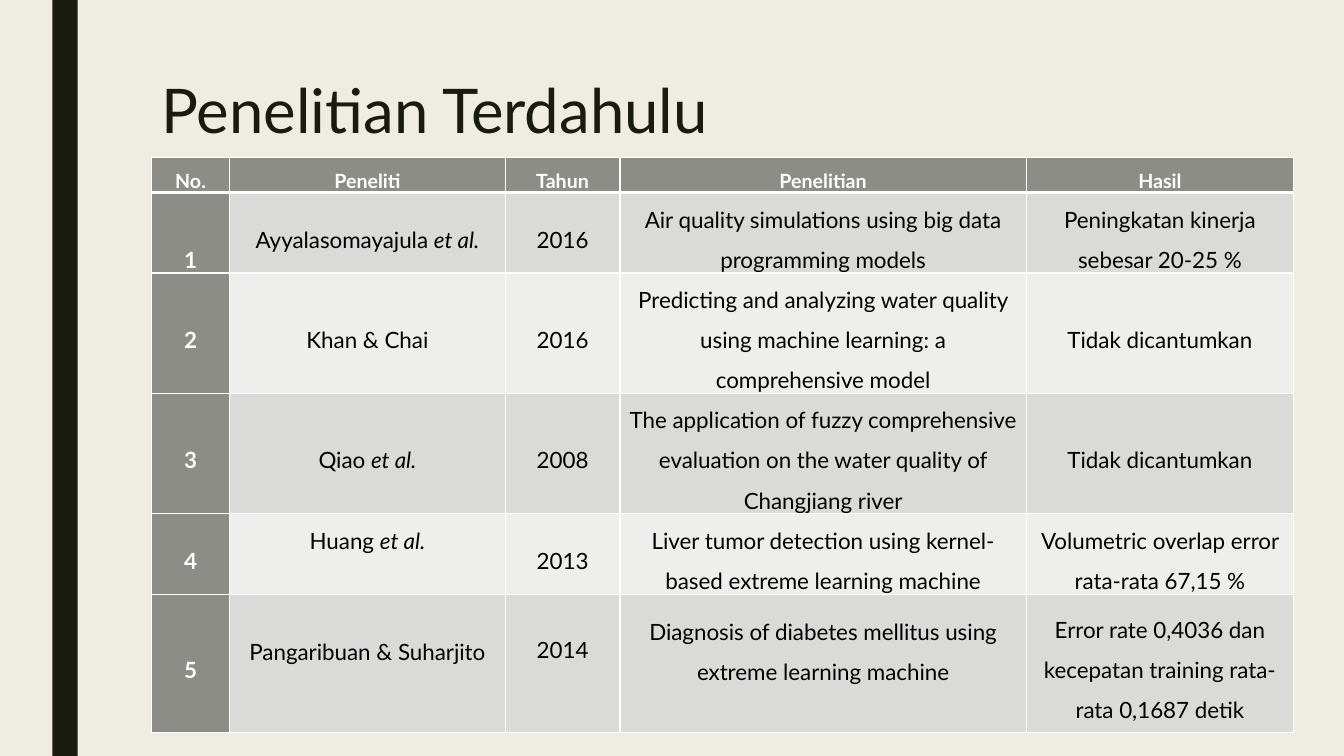
import pptx
import pptx.util
import pptx.dml.color
import pptx.enum.shapes
import pptx.enum.text
import pptx.oxml
import pptx.oxml.ns

Inches = pptx.util.Inches
Pt = pptx.util.Pt
ANCHOR = pptx.enum.text.MSO_ANCHOR
ALIGN = pptx.enum.text.PP_ALIGN

COLORS = {
    "background": "EFEDE3", "dark": "191B0E", "heading": "8C8D86",
    "odd": "DADBD9", "even": "EEEEED", "white": "FFFFFF", "black": "000000",
}
FONT = "Lato"
COLUMN_WIDTHS = [0.78, 2.73, 1.14, 4.03, 2.65]
ROW_HEIGHTS = [0.27, 0.66, 1.02, 1.02, 0.67, 1.37]
HEADINGS = ["No.", "Peneliti", "Tahun", "Penelitian", "Hasil"]
STUDIES = [
    ["1", "Ayyalasomayajula *et al.*", "2016",
     "Air quality simulations using big data programming models",
     "Peningkatan kinerja sebesar 20-25 %"],
    ["2", "Khan & Chai", "2016",
     "Predicting and analyzing water quality using machine learning: a comprehensive model",
     "Tidak dicantumkan"],
    ["3", "Qiao *et al.*", "2008",
     "The application of fuzzy comprehensive evaluation on the water quality of Changjiang river",
     "Tidak dicantumkan"],
    ["4", "Huang *et al.*", "2013",
     "Liver tumor detection using kernel-based extreme learning machine",
     "Volumetric overlap error rata-rata 67,15 %"],
    ["5", "Pangaribuan & Suharjito", "2014",
     "Diagnosis of diabetes mellitus using extreme learning machine",
     "Error rate 0,4036 dan kecepatan training rata-rata 0,1687 detik"],
]
TOP_MARGINS = {(1, 0): 0.4}
BOTTOM_MARGINS = {(4, 1): 0.4, (5, 1): 0.36, (5, 2): 0.4, (5, 3): 0.36}


def rgb(name):
    """Return the named colour."""
    return pptx.dml.color.RGBColor.from_string(COLORS[name])


def write(frame, text, size, color, bold=False, align=ALIGN.LEFT, spacing=1.0):
    """Write one paragraph, with parts between asterisks in italics."""
    paragraph = frame.paragraphs[0]
    paragraph.alignment = align
    paragraph.line_spacing = spacing
    for index, part in enumerate(text.split("*")):
        if part:
            run = paragraph.add_run()
            run.text = part
            run.font.name = FONT
            run.font.size = Pt(size)
            run.font.bold = bold
            run.font.italic = index % 2 == 1
            run.font.color.rgb = rgb(color)


def border(cell, **widths):
    """Draw white cell borders with the widths given in points."""
    properties = cell._tc.get_or_add_tcPr()
    for index, side in enumerate("LRTB"):
        line = pptx.oxml.parse_xml(
            f'<a:ln{side} {pptx.oxml.ns.nsdecls("a")} w="{Pt(widths.get(side, 1))}">'
            f'<a:solidFill><a:srgbClr val="{COLORS["white"]}"/></a:solidFill></a:ln{side}>')
        properties.insert(index, line)


def add_side_bar(slide, left, top, width, height):
    """Add the dark bar at the left edge."""
    bar = slide.shapes.add_shape(
        pptx.enum.shapes.MSO_SHAPE.RECTANGLE,
        Inches(left), Inches(top), Inches(width), Inches(height))
    bar.shadow.inherit = False
    bar.fill.solid()
    bar.fill.fore_color.rgb = rgb("dark")
    bar.line.fill.background()


def place_title(slide, text, left, top, width, height):
    """Move and fill the title placeholder."""
    title = slide.shapes.title
    title.left, title.top = Inches(left), Inches(top)
    title.width, title.height = Inches(width), Inches(height)
    title.text_frame.word_wrap = True
    title.text_frame.vertical_anchor = ANCHOR.TOP
    write(title.text_frame, text, 44, "dark", spacing=0.89)


def fill_cell(cell, text, row, column):
    """Format one cell by its row and column."""
    header = row == 0
    heading = header or column == 0
    cell.fill.solid()
    cell.fill.fore_color.rgb = rgb("heading" if heading else "odd" if row % 2 else "even")
    border(cell, T=3 if row == 1 else 1, B=3 if header else 1)
    cell.margin_left = cell.margin_right = Inches(0.04)
    cell.margin_top = Inches(TOP_MARGINS.get((row, column), 0))
    cell.margin_bottom = Inches(BOTTOM_MARGINS.get((row, column), 0))
    cell.vertical_anchor = ANCHOR.TOP if header else ANCHOR.MIDDLE
    write(cell.text_frame, text, 14 if header else 16, "white" if heading else "black",
          bold=heading, align=ALIGN.CENTER, spacing=1.5)


def add_studies_table(slide, left, top, width, height):
    """Add the table of earlier studies."""
    contents = [HEADINGS] + STUDIES
    frame = slide.shapes.add_table(
        len(contents), len(HEADINGS),
        Inches(left), Inches(top), Inches(width), Inches(height))
    studies = frame.table
    for column, column_width in zip(studies.columns, COLUMN_WIDTHS):
        column.width = Inches(column_width)
    for row, row_height in zip(studies.rows, ROW_HEIGHTS):
        row.height = Inches(row_height)
    frame.height = Inches(height)
    for row, texts in enumerate(contents):
        for column, text in enumerate(texts):
            fill_cell(studies.cell(row, column), text, row, column)


def build_studies_slide(deck):
    """Build the slide on earlier studies."""
    slide = deck.slides.add_slide(deck.slide_layouts[5])
    slide.background.fill.solid()
    slide.background.fill.fore_color.rgb = rgb("background")
    add_side_bar(slide, 0.52, 0, 0.25, 7.5)
    place_title(slide, "Penelitian Terdahulu", 1.5, 0.75, 10.5, 1.62)
    add_studies_table(slide, 1.5, 1.56, 11.33, 5.72)


deck = pptx.Presentation()
deck.slide_width, deck.slide_height = Inches(13.33), Inches(7.5)
build_studies_slide(deck)
deck.save("out.pptx")
